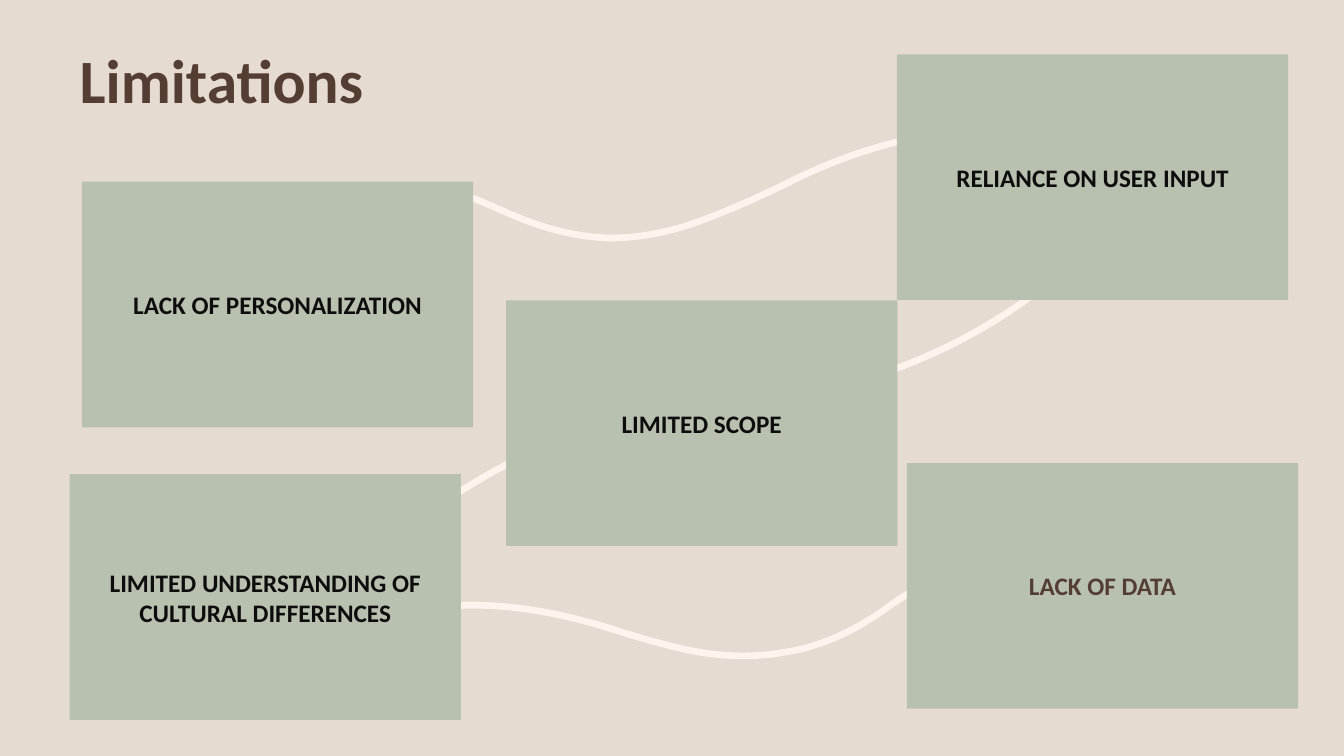
from lxml import etree
from pptx import Presentation
from pptx.dml.color import RGBColor
from pptx.enum.shapes import MSO_SHAPE
from pptx.enum.text import MSO_ANCHOR, PP_ALIGN
from pptx.oxml.ns import qn
from pptx.util import Pt

SAND = RGBColor(0xE6, 0xDB, 0xD0)
CREAM = RGBColor(0xFE, 0xF3, 0xED)
SAGE = RGBColor(0xB8, 0xC0, 0xB0)
BROWN = RGBColor(0x54, 0x3E, 0x34)
BLACK = RGBColor(0x0D, 0x0D, 0x0D)

CARD_WIDTH, CARD_HEIGHT = Pt(279.5), Pt(175.5)

# Each curve: a start point, then three points per cubic segment
CURVES = [
    [(600, 276), (657, 261), (709, 235), (754, 198)],
    [(420, 308), (366, 325), (320, 353), (280, 388)],
    [(221, 161),
     (252, 135), (287, 127), (323, 137),
     (336, 140), (346, 145), (358, 150),
     (382, 161), (407, 169), (435, 170),
     (459, 170), (482, 165), (505, 156),
     (531, 146), (545, 139), (560, 132),
     (577, 123), (677, 74), (739, 105)],
    [(662, 417),
     (651, 422), (642, 428), (631, 436),
     (611, 450), (587, 462), (560, 466),
     (537, 470), (514, 469), (490, 464),
     (464, 458), (449, 453), (433, 448),
     (416, 443), (312, 410), (250, 458)],
]

# Left, top, text, text colour
CARDS = [
    (58.5, 129.75, "LACK OF PERSONALIZATION", BLACK),
    (640.75, 38.75, "RELIANCE ON USER INPUT", BLACK),
    (361.5, 214.5, "LIMITED SCOPE", BLACK),
    (49.75, 338.75, "LIMITED UNDERSTANDING OF CULTURAL DIFFERENCES", BLACK),
    (647.75, 330.75, "LACK OF DATA", BROWN),
]


def add_bold_run(paragraph, text, size, color):
    run = paragraph.add_run()
    run.text = text
    run.font.name = "Calibri"
    run.font.size = Pt(size)
    run.font.bold = True
    run.font.color.rgb = color


def bend_segments(shape):
    """Turn every three straight segments of a freeform into one cubic curve."""
    path = shape.element.find(".//" + qn("a:path"))
    lines = path.findall(qn("a:lnTo"))
    for first in range(0, len(lines), 3):
        cubic = etree.SubElement(path, qn("a:cubicBezTo"))
        for line in lines[first:first + 3]:
            cubic.append(line[0])
            path.remove(line)


presentation = Presentation()
presentation.slide_width = Pt(960)
presentation.slide_height = Pt(540)
slide = presentation.slides.add_slide(presentation.slide_layouts.get_by_name("Title Only"))
slide.background.fill.solid()
slide.background.fill.fore_color.rgb = SAND

title = slide.shapes.title
title.left, title.top, title.width, title.height = Pt(49.75), Pt(33), Pt(720), Pt(53)
title.text_frame.vertical_anchor = MSO_ANCHOR.MIDDLE
paragraph = title.text_frame.paragraphs[0]
paragraph.alignment = PP_ALIGN.LEFT
paragraph.line_spacing = 0.9
add_bold_run(paragraph, "Limitations", 44, BROWN)

for start, *points in CURVES:
    builder = slide.shapes.build_freeform(Pt(start[0]), Pt(start[1]))
    builder.add_line_segments([(Pt(x), Pt(y)) for x, y in points], close=False)
    curve = builder.convert_to_shape()
    bend_segments(curve)
    curve.shadow.inherit = False
    curve.fill.background()
    curve.line.color.rgb = CREAM
    curve.line.width = Pt(4.75)

for left, top, text, color in CARDS:
    card = slide.shapes.add_shape(
        MSO_SHAPE.RECTANGLE, Pt(left), Pt(top), CARD_WIDTH, CARD_HEIGHT)
    card.shadow.inherit = False
    card.fill.solid()
    card.fill.fore_color.rgb = SAGE
    card.line.fill.background()
    card.text_frame.word_wrap = True
    card.text_frame.vertical_anchor = MSO_ANCHOR.MIDDLE
    paragraph = card.text_frame.paragraphs[0]
    paragraph.alignment = PP_ALIGN.CENTER
    add_bold_run(paragraph, text, 18, color)

presentation.save("out.pptx")
